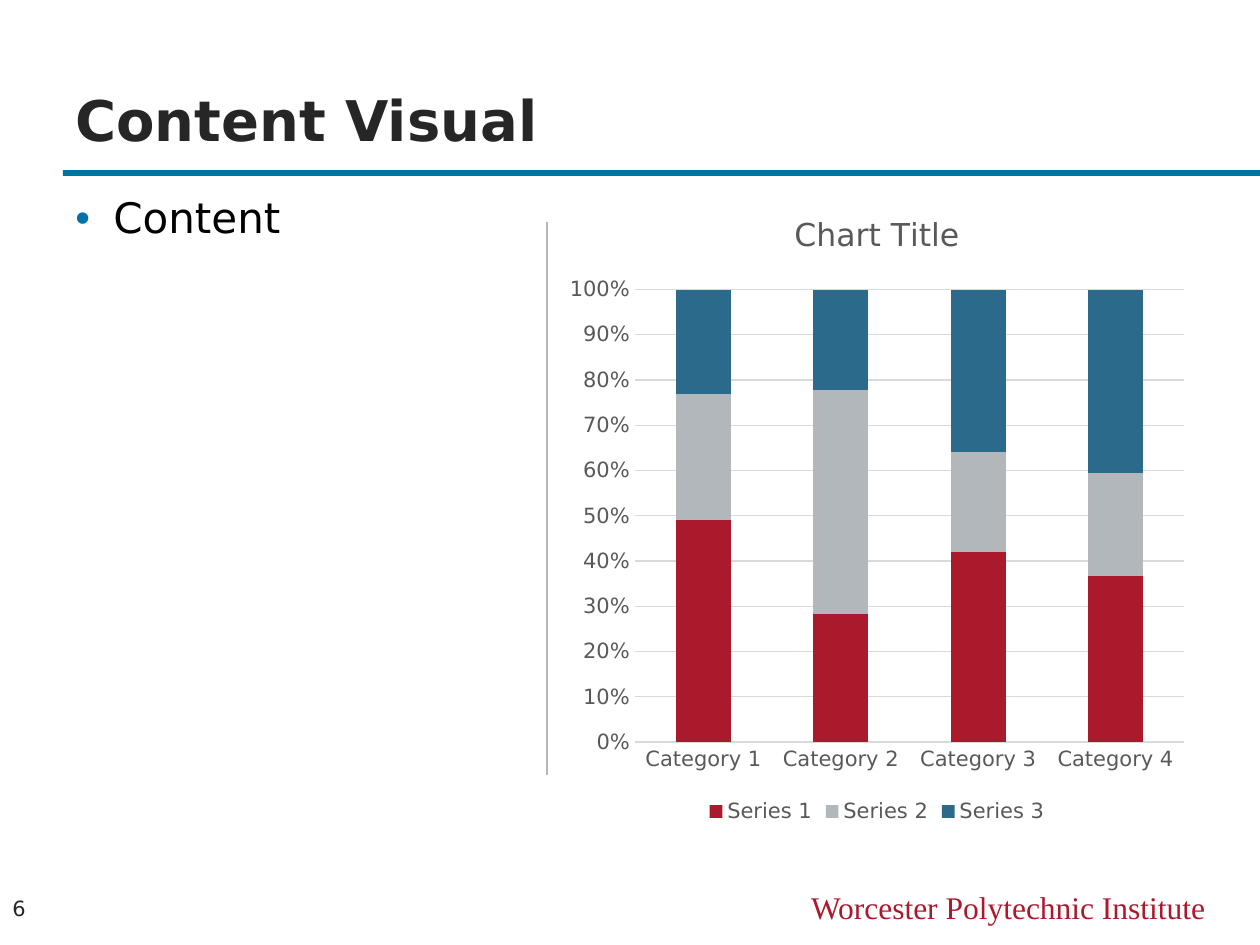
from lxml import etree
from pptx import Presentation
from pptx import util as u
from pptx.chart.data import CategoryChartData
from pptx.dml.color import RGBColor
from pptx.enum import chart as ch, shapes, text
from pptx.oxml.ns import qn

PX_PER_INCH = 126
COLORS = {"blue": "0071A9", "red": "AB192D", "silver": "B2B7BB", "steel": "2C6A8C",
          "ink": "262626", "black": "000000", "label": "595959",
          "grid": "D9D9D9", "divider": "B6B6B6"}
SANS, SERIF = "DejaVu Sans", "Times New Roman"

TEXTS = [
    dict(words="Worcester Polytechnic Institute", box=(756, 882, 462, 50),
         font=dict(name=SERIF, size=18, color="red"), align="RIGHT"),
    dict(words="Content Visual", box=(63, 48, 1134, 111),
         font=dict(name=SANS, size=32, color="ink", bold=True), anchor="BOTTOM"),
    dict(words="Content", box=(63, 189, 474, 640),
         font=dict(name=SANS, size=24, color="black"), bullet="blue", spacing=0.95),
    dict(words="6", box=(0, 881, 63, 54),
         font=dict(name=SANS, size=12, color="ink"), anchor="MIDDLE"),
]
RULE = (63, 170, 1197, 6)
DIVIDER = (547, 222, 547, 775)
CHART_BOX = (557, 189, 640, 640)
CHART_TITLE = "Chart Title"
CATEGORIES = ["Category 1", "Category 2", "Category 3", "Category 4"]
SERIES = [("Series 1", "red", (49, 28, 42, 37)),
          ("Series 2", "silver", (28, 49, 22, 23)),
          ("Series 3", "steel", (23, 22, 36, 41))]


def px(*lengths):
    return [u.Emu(round(n * 914400 / PX_PER_INCH)) for n in lengths]


def rgb(color):
    return RGBColor.from_string(COLORS[color])


def style_font(font, **values):
    for key, value in values.items():
        if key == "color":
            font.color.rgb = rgb(value)
        else:
            setattr(font, key, u.Pt(value) if key == "size" else value)


def style_line(line, color, width):
    line.color.rgb = rgb(color)
    line.width = u.Pt(width)


def add_bullet(paragraph, color):
    indent = px(38)[0]
    props = paragraph._p.get_or_add_pPr()
    props.set("marL", str(indent))
    props.set("indent", str(-indent))
    bullet_color = etree.SubElement(props, qn("a:buClr"))
    etree.SubElement(bullet_color, qn("a:srgbClr"), val=COLORS[color])
    etree.SubElement(props, qn("a:buFont"), typeface="Arial")
    etree.SubElement(props, qn("a:buChar"), char="•")


def add_text(slide, words, box, font, align="LEFT", anchor="TOP", bullet=None, spacing=None):
    frame = slide.shapes.add_textbox(*px(*box)).text_frame
    frame.word_wrap = True
    frame.vertical_anchor = getattr(text.MSO_ANCHOR, anchor)
    paragraph = frame.paragraphs[0]
    paragraph.alignment = getattr(text.PP_ALIGN, align)
    if spacing:
        paragraph.line_spacing = spacing
    if bullet:
        add_bullet(paragraph, bullet)
    run = paragraph.add_run()
    run.text = words
    style_font(run.font, **font)


def add_rules(slide):
    rule = slide.shapes.add_shape(shapes.MSO_SHAPE.RECTANGLE, *px(*RULE))
    rule.shadow.inherit = False
    rule.fill.solid()
    rule.fill.fore_color.rgb = rgb("blue")
    rule.line.fill.background()
    divider = slide.shapes.add_connector(shapes.MSO_CONNECTOR.STRAIGHT, *px(*DIVIDER))
    style_line(divider.line, "divider", 1.25)
    etree.SubElement(divider._element.spPr, qn("a:effectLst"))


def add_share_chart(slide):
    data = CategoryChartData()
    data.categories = CATEGORIES
    for name, _, values in SERIES:
        data.add_series(name, values)
    chart = slide.shapes.add_chart(
        ch.XL_CHART_TYPE.COLUMN_STACKED_100, *px(*CHART_BOX), data).chart
    label_font = dict(name=SANS, size=12, color="label")
    style_font(chart.font, name=SANS, size=10, color="black")

    chart.has_title = True
    title = chart.chart_title.text_frame
    title.text = CHART_TITLE
    style_font(title.paragraphs[0].runs[0].font,
               **{**label_font, "size": 18, "bold": False})

    chart.has_legend = True
    chart.legend.position = ch.XL_LEGEND_POSITION.BOTTOM
    chart.legend.include_in_layout = False

    shares = chart.value_axis
    for part in (chart.legend, chart.category_axis.tick_labels, shares.tick_labels):
        style_font(part.font, **label_font)
    for axis in (chart.category_axis, shares):
        axis.major_tick_mark = axis.minor_tick_mark = ch.XL_TICK_MARK.NONE
    style_line(chart.category_axis.format.line, "grid", 0.75)
    shares.format.line.fill.background()
    shares.has_major_gridlines = True
    style_line(shares.major_gridlines.format.line, "grid", 0.75)
    shares.tick_labels.number_format = "0%"
    shares.tick_labels.number_format_is_linked = False

    plot = chart.plots[0]
    plot.gap_width, plot.overlap, plot.vary_by_categories = 150, 100, False
    for series, (_, color, _) in zip(plot.series, SERIES):
        series.format.fill.solid()
        series.format.fill.fore_color.rgb = rgb(color)


def main():
    deck = Presentation()
    deck.slide_width, deck.slide_height = px(1260, 945)
    slide = deck.slides.add_slide(deck.slide_layouts[6])
    add_rules(slide)
    for item in TEXTS:
        add_text(slide, **item)
    add_share_chart(slide)
    deck.save("out.pptx")


if __name__ == "__main__":
    main()
